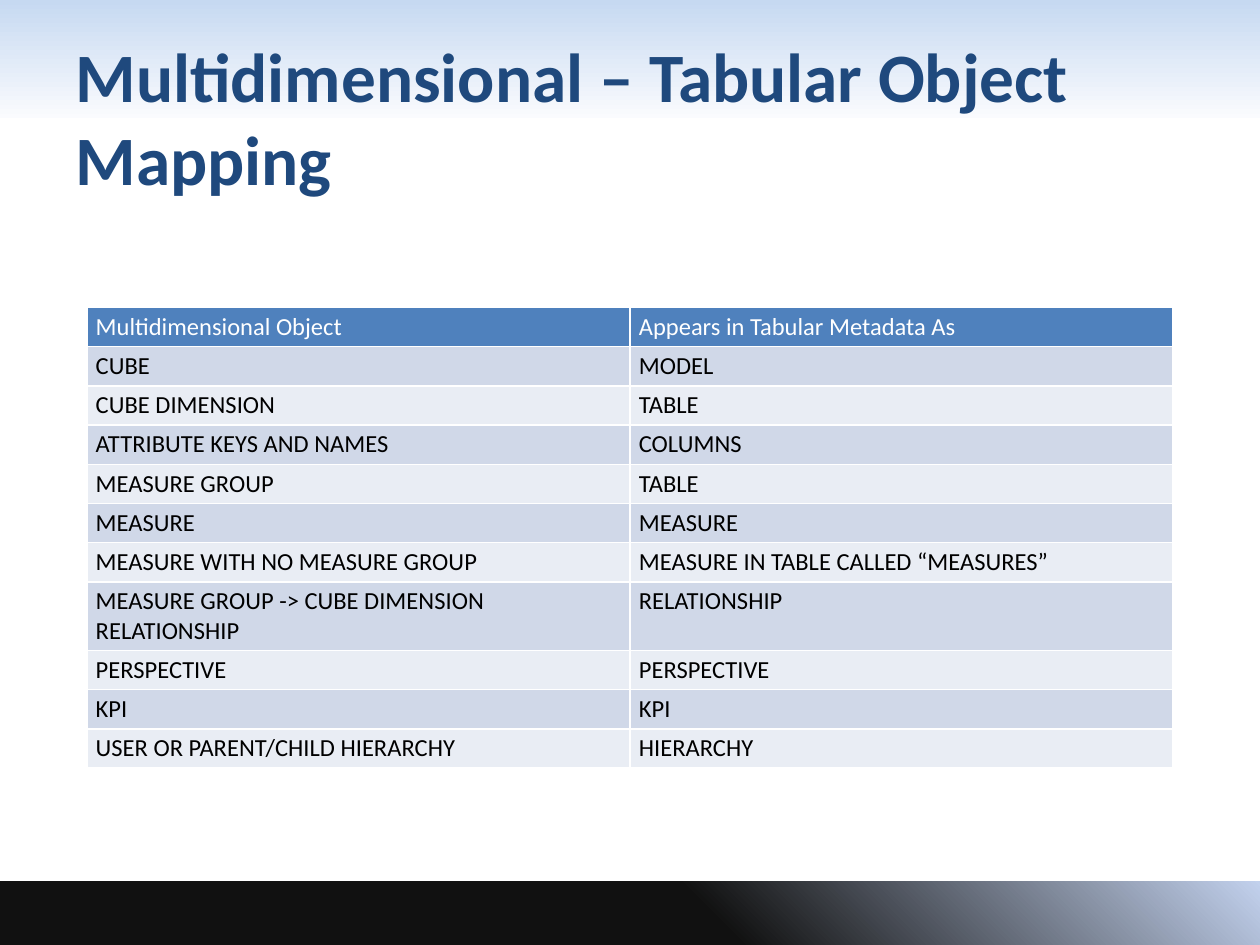
import pptx
import pptx.dml.color
import pptx.enum.shapes
import pptx.enum.text
import pptx.oxml
import pptx.oxml.ns
import pptx.util
from pptx.util import Cm

FONT = "Calibri"
COLORS = {
    "title": "1F497D", "header": "4F81BD", "odd": "D0D8E8", "even": "E9EDF4",
    "white": "FFFFFF", "text": "000000", "sky": "C6D9F1", "mist": "FAFBFE",
    "night": "111111", "dawn": "C2D1ED",
}
MAPPING = [
    ("Multidimensional Object", "Appears in Tabular Metadata As"),
    ("CUBE", "MODEL"),
    ("CUBE DIMENSION", "TABLE"),
    ("ATTRIBUTE KEYS AND NAMES", "COLUMNS"),
    ("MEASURE GROUP", "TABLE"),
    ("MEASURE", "MEASURE"),
    ("MEASURE WITH NO MEASURE GROUP", "MEASURE IN TABLE CALLED “MEASURES”"),
    ("MEASURE GROUP -> CUBE DIMENSION RELATIONSHIP", "RELATIONSHIP"),
    ("PERSPECTIVE", "PERSPECTIVE"),
    ("KPI", "KPI"),
    ("USER OR PARENT/CHILD HIERARCHY", "HIERARCHY"),
]


def rgb(name):
    """Return the named colour."""
    return pptx.dml.color.RGBColor.from_string(COLORS[name])


def style_text(frame, size, color, bold):
    """Format every run of a text frame."""
    for para in frame.paragraphs:
        for span in para.runs:
            span.font.name = FONT
            span.font.size = pptx.util.Pt(size)
            span.font.bold = bold
            span.font.color.rgb = rgb(color)


def add_band(page, top, height, angle, stops):
    """Add a full-width gradient band."""
    band = page.shapes.add_shape(
        pptx.enum.shapes.MSO_SHAPE.RECTANGLE, 0, top, Cm(25.4), height)
    band.shadow.inherit = False
    band.line.fill.background()
    band.fill.gradient()
    band.fill.gradient_angle = angle
    for stop, (position, color) in zip(band.fill.gradient_stops, stops):
        stop.position = position
        stop.color.rgb = rgb(color)


def set_title(page, text):
    """Fill the title placeholder and bring it in front of the bands."""
    title = page.shapes.title
    title.left, title.top, title.width, title.height = Cm(1.27), Cm(0.76), Cm(22.86), Cm(3.18)
    frame = title.text_frame
    frame.text = text
    frame.auto_size = pptx.enum.text.MSO_AUTO_SIZE.NONE
    frame.vertical_anchor = pptx.enum.text.MSO_ANCHOR.MIDDLE
    frame.paragraphs[0].alignment = pptx.enum.text.PP_ALIGN.LEFT
    style_text(frame, 39.6, "title", True)
    page.shapes._spTree.append(title._element)


def add_borders(cell):
    """Draw a thin white line on each side of a cell."""
    properties = cell._tc.get_or_add_tcPr()
    for side in "LRTB":
        properties.append(pptx.oxml.parse_xml(
            f'<a:ln{side} {pptx.oxml.ns.nsdecls("a")} w="12700"><a:solidFill>'
            f'<a:srgbClr val="{COLORS["white"]}"/></a:solidFill></a:ln{side}>'))


def format_cell(cell, text, fill, color):
    """Fill in and format one table cell."""
    cell.text = text
    cell.margin_left = cell.margin_right = Cm(0.18)
    cell.margin_top = cell.margin_bottom = Cm(0.09)
    add_borders(cell)
    cell.fill.solid()
    cell.fill.fore_color.rgb = rgb(fill)
    style_text(cell.text_frame, 14, color, False)


def add_mapping_table(page):
    """Add the table that pairs both kinds of object."""
    row_height = Cm(0.79)
    table = page.shapes.add_table(
        len(MAPPING), 2, Cm(1.75), Cm(6.2), Cm(21.9), row_height * len(MAPPING)).table
    for index, texts in enumerate(MAPPING):
        table.rows[index].height = row_height
        fill = "header" if index == 0 else "odd" if index % 2 else "even"
        color = "white" if index == 0 else "text"
        for column, text in enumerate(texts):
            format_cell(table.cell(index, column), text, fill, color)


def main():
    """Build and save the deck."""
    deck = pptx.Presentation()
    deck.slide_width, deck.slide_height = Cm(25.4), Cm(19.05)
    page = deck.slides.add_slide(deck.slide_layouts[5])
    add_band(page, 0, Cm(2.39), 270, [(0, "sky"), (1, "mist")])
    add_band(page, Cm(17.77), Cm(1.28), 45, [(0.56, "night"), (1, "dawn")])
    set_title(page, "Multidimensional – Tabular Object Mapping")
    add_mapping_table(page)
    deck.save("out.pptx")


if __name__ == "__main__":
    main()
